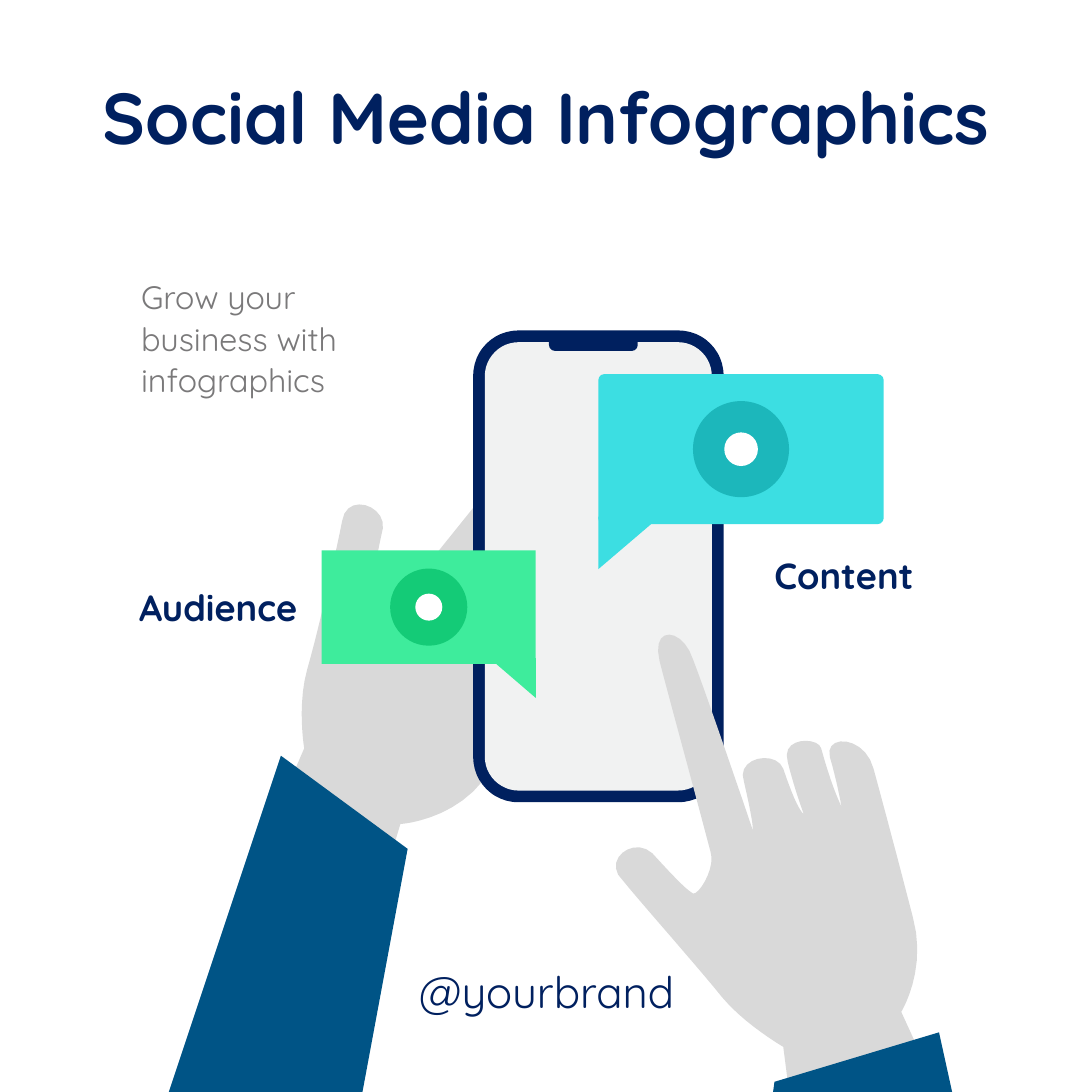
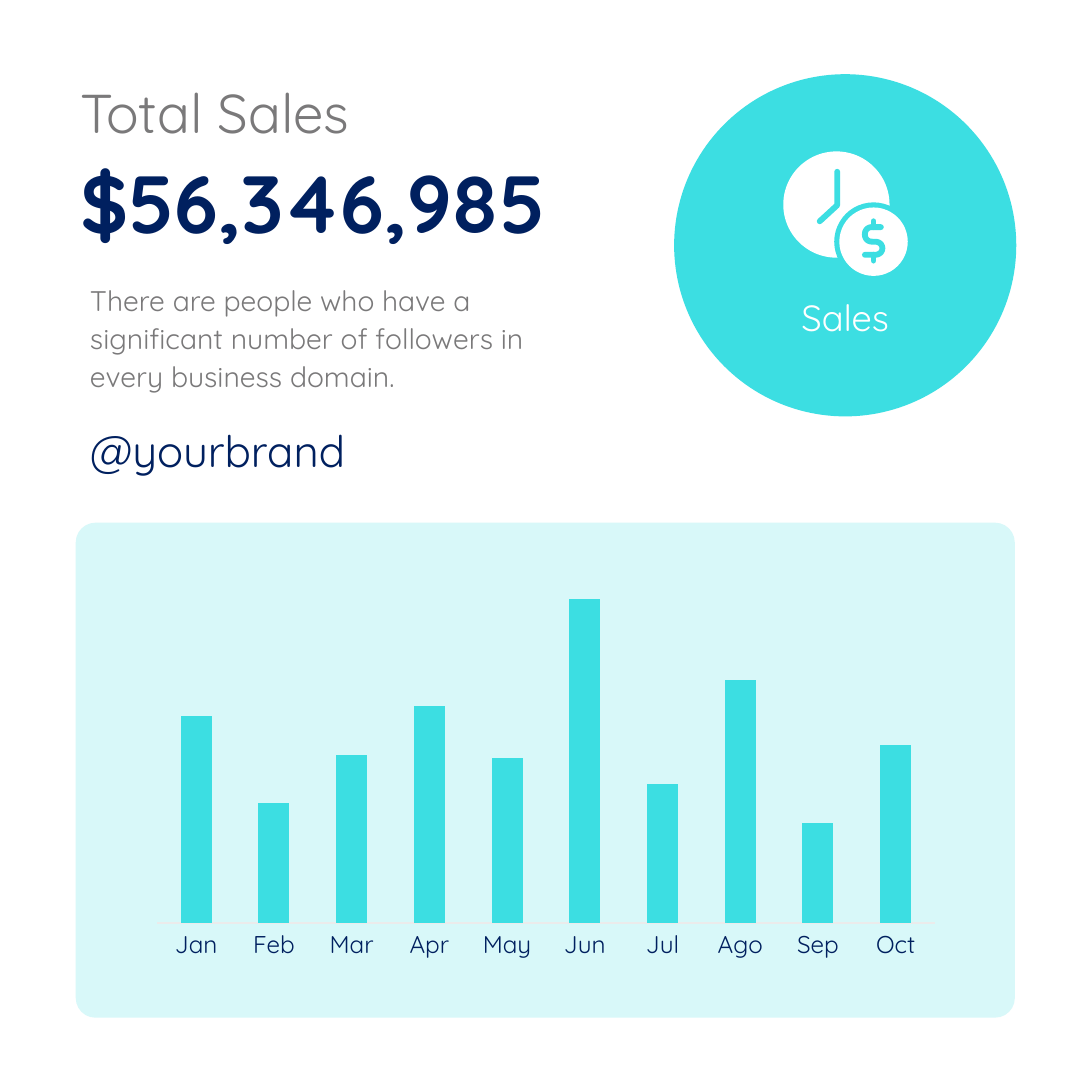
from dataclasses import dataclass

from pptx import Presentation
from pptx import util as u
from pptx.chart import data
from pptx.dml import color
from pptx.enum import chart as charts, shapes, text
from pptx.oxml import ns

COLUMNS = 75
SLIDE = u.Inches(7.5)
CELL = SLIDE // COLUMNS
FONT = "Quicksand"
COLORS = {
    "navy": "00205F",
    "gray": "7A797A",
    "skin": "D9D9D9",
    "sleeve": "005486",
    "screen": "F1F2F2",
    "cyan": "3CDEE2",
    "teal": "1CB7BB",
    "mint": "3EEC9C",
    "green": "14CB77",
    "panel": "D8F8F9",
    "axis": "EBEBEB",
    "white": "FFFFFF",
}
HANDLE = "@yourbrand"
CURVE_STEPS = 10
PRESET = shapes.MSO_SHAPE
ALIGN = text.PP_ALIGN

HOLDING_HAND = [
    (10.8, 12.5), (11.6, 11.5, 17.7, 3.9, 19.3, 2),
    (21, 0, 22.1, 2, 20.8, 3.8), (19.5, 5.6, 13.6, 14, 13.6, 14),
    (13.6, 14, 14, 14, 15.9, 11.5), (17, 10.2, 18.9, 12.2, 18.3, 13.2),
    (16.5, 15.8, 16.6, 16.2, 16.6, 16.2), (16.6, 16.2, 17.8, 14.6, 18.8, 13.2),
    (19.9, 11.9, 21.5, 14, 21, 14.6), (19.1, 17, 18.5, 18, 18.5, 18),
    (18.5, 18, 19.7, 16.7, 20.7, 15.5), (21.9, 14.1, 23.3, 16.5, 22, 18.3),
    (20.5, 20.1, 17.6, 23.7, 15.2, 26.6), (13, 29.4, 9.5, 29.6, 9.5, 29.6),
    (8.4, 33.3), (0, 31.1), (2.9, 24.4),
    (2.9, 24.4, 2.4, 21.5, 3.1, 19), (3.8, 16.6, 5.1, 10.9, 5.5, 8.8),
    (5.8, 6.8, 8.5, 7.7, 8.3, 9.3), (7.9, 11, 7.7, 12.5, 7.6, 13.1),
    (7.5, 13.7, 10, 13.5, 10.8, 12.5),
]
TAPPING_HAND = [
    (8.3, 25.6), (9.9, 27.5, 12.5, 29, 12.5, 29),
    (12.9, 32.1), (20.4, 32.1), (22.8, 31.4), (20.6, 26.6),
    (20.6, 26.6, 22.4, 23.7, 21.4, 20.1), (20.5, 16.6, 19.3, 12.1, 18.7, 9.9),
    (18.1, 7.6, 15.3, 7.5, 15.7, 9.1), (16.2, 10.8, 16.5, 12.5, 16.5, 12.5),
    (16.5, 12.5, 15.9, 11.4, 15.1, 8.5), (14.9, 7.7, 12.3, 7.7, 12.8, 9.4),
    (13.2, 11.1, 13.9, 13, 13.9, 13), (13.9, 13, 13.5, 12.9, 12.5, 9.9),
    (12, 8.6, 9.2, 9.1, 9.8, 10.8), (10.5, 13.8, 10.4, 14.1, 10.4, 14.1),
    (10.4, 14.1, 7.1, 4.4, 6.3, 2.4), (5.6, 0.2, 3.4, 0, 4, 2.5),
    (4.6, 4.8, 7.2, 14.4, 7.5, 15.6), (7.9, 16.8, 6.5, 18.9, 6.2, 18.4),
    (5.7, 18.1, 4.6, 16.9, 3.5, 15.7), (2.2, 14.5, 0, 16.2, 1.5, 17.6),
    (2.8, 19.2, 6.7, 23.6, 8.3, 25.6),
]
HOLDING_SLEEVE = [(13.3, 23.1), (16.4, 6.4), (7.7, 0), (0, 23.1)]
TAPPING_SLEEVE = [(12.3, 4.1), (11.4, 0), (0.1, 3.4), (0, 4.1)]
CLOCK_HANDS = [(11.2, 6.7), (11.2, 9), (10, 10.1)]
DOLLAR_CURVE = [
    (14.2, 10.5), (13.6, 10.5), (13.3, 10.5, 13.1, 10.7, 13.1, 11),
    (13.1, 11.3, 13.3, 11.5, 13.6, 11.5), (13.8, 11.5),
    (14.1, 11.5, 14.3, 11.7, 14.3, 11.95),
    (14.3, 12.2, 14.1, 12.4, 13.8, 12.4), (13.1, 12.4),
]
DOLLAR_STEMS = [[(13.7, 10.1), (13.7, 10.5)], [(13.7, 12.4), (13.7, 12.8)]]
MONTHLY_SALES = {
    "Jan": 64, "Feb": 37, "Mar": 52, "Apr": 67, "May": 51,
    "Jun": 100, "Jul": 43, "Ago": 75, "Sep": 31, "Oct": 55,
}


@dataclass
class Box:
    left: float
    top: float
    width: float
    height: float

    def inner(self, left, top, width, height):
        return Box(self.left + left, self.top + top, width, height)

    def centered(self, width, height):
        return self.inner((self.width - width) / 2, (self.height - height) / 2, width, height)

    def emu(self):
        return [round(side * CELL) for side in (self.left, self.top, self.width, self.height)]


def rgb(name):
    return color.RGBColor.from_string(COLORS[name])


def paint(shape, fill):
    shape.shadow.inherit = False
    shape.fill.solid()
    shape.fill.fore_color.rgb = rgb(fill)
    shape.line.fill.background()


def add_preset(page, preset, box, fill, corner=None):
    shape = page.shapes.add_shape(preset, *box.emu())
    if corner is not None:
        shape.adjustments[0] = corner
    paint(shape, fill)
    return shape


def flatten(steps):
    points = [steps[0]]
    for step in steps[1:]:
        if len(step) == 2:
            points.append(step)
            continue
        start, first, second, end = points[-1], step[:2], step[2:4], step[4:]
        for index in range(1, CURVE_STEPS + 1):
            t = index / CURVE_STEPS
            weights = ((1 - t) ** 3, 3 * t * (1 - t) ** 2, 3 * t * t * (1 - t), t ** 3)
            points.append(tuple(
                sum(weight * value for weight, value in zip(weights, values))
                for values in zip(start, first, second, end)
            ))
    return points


def build_outline(page, box, steps, close):
    points = [
        (round((box.left + x) * CELL), round((box.top + y) * CELL))
        for x, y in flatten(steps)
    ]
    builder = page.shapes.build_freeform(*points[0])
    builder.add_line_segments(points[1:], close=close)
    return builder.convert_to_shape()


def add_outline(page, box, steps, fill):
    paint(build_outline(page, box, steps, True), fill)


def add_stroke(page, box, steps, line_color):
    stroke = build_outline(page, box, steps, False)
    stroke.shadow.inherit = False
    stroke.fill.background()
    stroke.line.color.rgb = rgb(line_color)
    stroke.line.width = u.Pt(2.9)
    stroke.element.find(".//" + ns.qn("a:ln")).set("cap", "rnd")


def add_text(page, box, words, size, ink, bold=False, align=ALIGN.LEFT, leading=None, inset=None):
    frame = page.shapes.add_textbox(*box.emu()).text_frame
    frame.word_wrap = True
    frame.auto_size = text.MSO_AUTO_SIZE.SHAPE_TO_FIT_TEXT
    if inset is not None:
        frame.vertical_anchor = text.MSO_ANCHOR.MIDDLE
        margin = round(inset * CELL)
        frame.margin_left = frame.margin_right = margin
        frame.margin_top = frame.margin_bottom = margin
    para = frame.paragraphs[0]
    para.alignment = align
    if leading:
        para.line_spacing = u.Pt(leading)
    span = para.add_run()
    span.text = words
    span.font.name = FONT
    span.font.size = u.Pt(size)
    span.font.bold = bold
    span.font.color.rgb = rgb(ink)


def add_handle(page, box, align=ALIGN.LEFT):
    add_text(page, box, HANDLE, 21.6, "navy", align=align)


def add_phone(page, box):
    add_preset(page, PRESET.ROUNDED_RECTANGLE, box, "navy", 0.18)
    screen = box.centered(box.width - 1.6, box.height - 1.6)
    add_preset(page, PRESET.ROUNDED_RECTANGLE, screen, "screen", 0.15)
    notch = add_preset(page, PRESET.ROUND_2_SAME_RECTANGLE, box.inner(5.2, 0.6, 6.1, 0.8), "navy", 0.5)
    notch.rotation = 180


def add_bubble(page, box, fill, badge_fill, badge, corner, side):
    tail_end = abs(side - 0.185)
    tail = [(side, 0.95), (side, 1.3), (tail_end, 1), (tail_end, 0.95)]
    add_outline(page, box, [(x * box.width, y * box.height) for x, y in tail], fill)
    add_preset(page, PRESET.ROUNDED_RECTANGLE, box, fill, corner)
    circle = box.centered(badge, badge)
    add_preset(page, PRESET.OVAL, circle, badge_fill)
    add_preset(page, PRESET.OVAL, circle.centered(badge * 0.35, badge * 0.35), "white")


def add_sales_badge(page, box):
    add_preset(page, PRESET.OVAL, box, "cyan")
    add_text(page, box.inner(2, 14.7, 19.5, 4), "Sales", 18, "white", align=ALIGN.CENTER)
    add_preset(page, PRESET.OVAL, box.inner(7.5, 5.3, 7.3, 7.3), "white")
    gap = box.inner(11, 8.8, 5.4, 5.4)
    add_preset(page, PRESET.OVAL, gap, "cyan")
    add_preset(page, PRESET.OVAL, gap.centered(4.7, 4.7), "white")
    for steps in (CLOCK_HANDS, DOLLAR_CURVE, *DOLLAR_STEMS):
        add_stroke(page, box, steps, "cyan")


def add_sales_chart(page, box):
    add_preset(page, PRESET.ROUNDED_RECTANGLE, box, "panel", 0.04)
    sales = data.CategoryChartData()
    sales.categories = list(MONTHLY_SALES)
    sales.add_series("Series 1", list(MONTHLY_SALES.values()))
    area = box.inner(4.5, 0.2, 55.6, 30.4)
    chart = page.shapes.add_chart(charts.XL_CHART_TYPE.COLUMN_STACKED, *area.emu(), sales).chart
    chart.has_legend = False
    chart.has_title = False
    chart.font.name = FONT
    chart.font.size = u.Pt(12)
    chart.font.color.rgb = rgb("navy")
    values = chart.value_axis
    values.visible = False
    values.has_major_gridlines = False
    values.minimum_scale = 0
    values.maximum_scale = 120
    months = chart.category_axis
    months.major_tick_mark = charts.XL_TICK_MARK.NONE
    months.format.line.color.rgb = rgb("axis")
    months.format.line.width = u.Pt(0.75)
    plot = chart.plots[0]
    plot.gap_width = 150
    plot.overlap = 100
    plot.vary_by_categories = False
    bars = plot.series[0].format.fill
    bars.solid()
    bars.fore_color.rgb = rgb("cyan")


def build_cover(page, box):
    add_text(page, box.inner(3.1, 4.5, 68.9, 7), "Social Media Infographics", 35.6, "navy", True, ALIGN.CENTER)
    add_outline(page, box.inner(18, 27, 23.3, 33.3), HOLDING_HAND, "skin")
    add_outline(page, box.inner(11.6, 51.9, 16.4, 23.1), HOLDING_SLEEVE, "sleeve")
    add_phone(page, box.inner(32.5, 22.7, 17.2, 32.4))
    add_outline(page, box.inner(41.3, 42.9, 22.8, 32.1), TAPPING_HAND, "skin")
    add_outline(page, box.inner(53.1, 70.9, 12.3, 4.1), TAPPING_SLEEVE, "sleeve")
    add_bubble(page, box.inner(41.1, 25.7, 19.6, 10.3), "cyan", "teal", 6.6, 0.04, 0)
    add_bubble(page, box.inner(22.1, 37.8, 14.7, 7.8), "mint", "green", 5.3, 0, 1)
    add_text(page, box.inner(5.7, 39.7, 15.7, 4), "Audience", 18, "navy", True, ALIGN.RIGHT)
    add_text(page, box.inner(52.2, 37.5, 15.5, 4), "Content", 18, "navy", True)
    add_text(page, box.inner(8.7, 18.4, 19.5, 9.2), "Grow your business with infographics", 16, "gray", leading=20.4)
    add_handle(page, box.inner(23.8, 65.8, 27.5, 4.6), ALIGN.CENTER)


def build_sales(page, box):
    add_sales_chart(page, box.inner(5.2, 35.9, 64.5, 34))
    add_text(page, box.inner(5.2, 5.1, 23.7, 5.1), "Total Sales", 27, "gray", inset=0.3)
    add_text(page, box.inner(5.2, 10.2, 33.3, 7.3), "$56,346,985", 40, "navy", True, inset=0.3)
    add_text(
        page, box.inner(5.2, 18.7, 34.4, 8.8),
        "There are people who have a significant number of followers in every business domain.",
        14, "gray", leading=18.8,
    )
    add_sales_badge(page, box.inner(46.3, 5.1, 23.5, 23.5))
    add_handle(page, box.inner(5.2, 28.6, 27.5, 4.6))


def main():
    deck = Presentation()
    deck.slide_width = deck.slide_height = SLIDE
    for build in (build_cover, build_sales):
        page = deck.slides.add_slide(deck.slide_layouts[6])
        build(page, Box(0, 0, COLUMNS, COLUMNS))
    deck.save("out.pptx")


if __name__ == "__main__":
    main()
